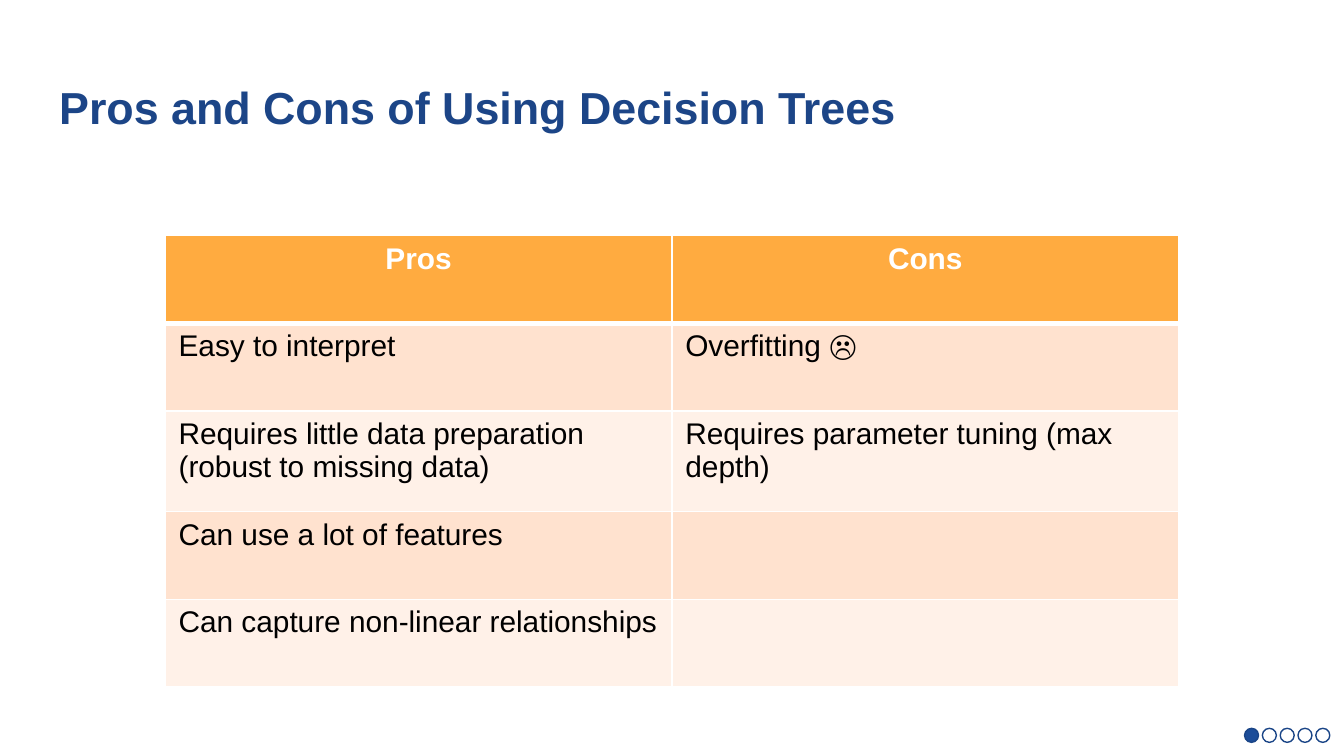
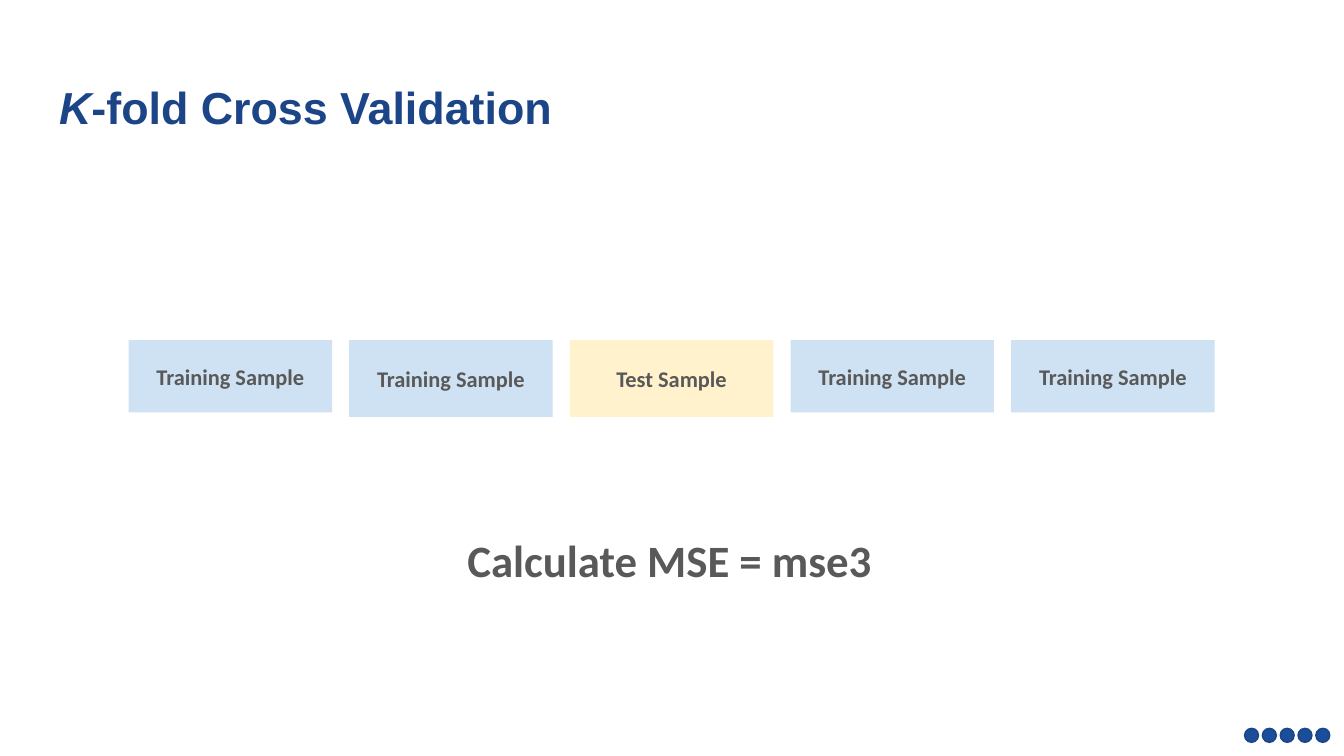
from lxml import etree
from pptx import Presentation
from pptx.dml.color import RGBColor
from pptx.enum import shapes, text
from pptx.oxml import ns
from pptx.util import Pt

NAVY, DOT_BLUE = "1C4587", "1C4D99"
DOT_LINE = "1A4587"
WHITE, BLACK, GREY = "FFFFFF", "000000", "595959"
ORANGE, PEACH, PALE_PEACH = "FFAB40", "FFE2CF", "FFF1E8"
TRAIN_BLUE, TEST_YELLOW = "CFE2F3", "FFF2CC"
TITLE_BOX = (24.5, 35.3, 671, 45.4)
DOTS_BOX = (666.7, 390.2, 45.7, 7.5)
DOT_COUNT = 5


def color(value):
    return RGBColor.from_string(value)


def pts(*values):
    return [Pt(v) for v in values]


def style(p, size, font, fill, bold=False, align=text.PP_ALIGN.LEFT):
    p.alignment = align
    for r in p.runs:
        r.font.size = Pt(size)
        r.font.name = font
        r.font.bold = bold
        r.font.color.rgb = color(fill)


def set_frame(tf, anchor):
    tf.word_wrap = True
    tf.auto_size = text.MSO_AUTO_SIZE.NONE
    tf.vertical_anchor = anchor
    tf.margin_left = tf.margin_right = tf.margin_top = tf.margin_bottom = Pt(7.2)


def add_block(s, kind, box, fill=None, line=None):
    sp = s.shapes.add_shape(kind, *pts(*box))
    sp.shadow.inherit = False
    if fill:
        sp.fill.solid()
        sp.fill.fore_color.rgb = color(fill)
    else:
        sp.fill.background()
    if line:
        sp.line.color.rgb = color(line)
        sp.line.width = Pt(0.75)
    else:
        sp.line.fill.background()
    return sp


def add_title(s, box, title, italic=""):
    sp = s.shapes.title
    sp.left, sp.top, sp.width, sp.height = pts(*box)
    set_frame(sp.text_frame, text.MSO_ANCHOR.TOP)
    p = sp.text_frame.paragraphs[0]
    if italic:
        r = p.add_run()
        r.text = italic
        r.font.italic = True
    p.add_run().text = title
    style(p, 24, "Arial", NAVY, bold=True)


def add_dots(s, box, filled):
    left, top, width, size = box
    pitch = (width - size) / (DOT_COUNT - 1)
    for i in range(DOT_COUNT):
        add_block(s, shapes.MSO_SHAPE.OVAL, (left + i * pitch, top, size, size),
                  DOT_BLUE if i < filled else None, DOT_LINE)


def set_borders(cell, bottom):
    tc_pr = cell._tc.get_or_add_tcPr()
    for i, (side, width) in enumerate((("L", 1), ("R", 1), ("T", 1), ("B", bottom))):
        ln = etree.Element(ns.qn(f"a:ln{side}"), w=str(Pt(width)))
        fill = etree.SubElement(ln, ns.qn("a:solidFill"))
        etree.SubElement(fill, ns.qn("a:srgbClr"), val=WHITE)
        tc_pr.insert(i, ln)


def add_pros_cons(s, box, rows, heights):
    table = s.shapes.add_table(len(rows), 2, *pts(*box)).table
    table.horz_banding = False
    for column in table.columns:
        column.width = Pt(box[2] / 2)
    for i, (row, height) in enumerate(zip(rows, heights)):
        table.rows[i].height = Pt(height)
        header = i == 0
        fill = ORANGE if header else PEACH if i % 2 else PALE_PEACH
        for j, words in enumerate(row):
            cell = table.cell(i, j)
            cell.fill.solid()
            cell.fill.fore_color.rgb = color(fill)
            set_borders(cell, 3 if header else 1)
            if words:
                cell.text_frame.text = words
                style(cell.text_frame.paragraphs[0], 16, "Arial",
                      WHITE if header else BLACK, header,
                      text.PP_ALIGN.CENTER if header else text.PP_ALIGN.LEFT)


def add_folds(s, box, heights, test_fold):
    left, top, width, gap = box
    for i, height in enumerate(heights):
        test = i == test_fold
        sp = add_block(s, shapes.MSO_SHAPE.RECTANGLE,
                       (left + i * (width + gap), top, width, height),
                       TEST_YELLOW if test else TRAIN_BLUE)
        set_frame(sp.text_frame, text.MSO_ANCHOR.MIDDLE)
        sp.text_frame.text = "Test Sample" if test else "Training Sample"
        style(sp.text_frame.paragraphs[0], 12, "Calibri", GREY, True, text.PP_ALIGN.CENTER)


def add_result(s, box, words):
    tf = s.shapes.add_textbox(*pts(*box)).text_frame
    set_frame(tf, text.MSO_ANCHOR.TOP)
    tf.text = words
    style(tf.paragraphs[0], 24, "Calibri", GREY, True, text.PP_ALIGN.CENTER)


def add_slide(prs, title, filled, italic=""):
    s = prs.slides.add_slide(prs.slide_layouts[5])
    add_title(s, TITLE_BOX, title, italic)
    add_dots(s, DOTS_BOX, filled)
    return s


def main():
    prs = Presentation()
    prs.slide_width, prs.slide_height = pts(720, 405)

    s = add_slide(prs, "Pros and Cons of Using Decision Trees", 1)
    add_pros_cons(s, (88.5, 126.1, 543, 242), [
        ("Pros", "Cons"),
        ("Easy to interpret", "Overfitting ☹"),
        ("Requires little data preparation (robust to missing data)",
         "Requires parameter tuning (max depth)"),
        ("Can use a lot of features", ""),
        ("Can capture non-linear relationships", ""),
    ], (47, 47, 54, 47, 47))

    s = add_slide(prs, "-fold Cross Validation", 5, italic="K")
    add_folds(s, (68.9, 182.2, 109, 9.2), (38.7, 41.2, 41.2, 38.7, 38.7), 2)
    add_result(s, (203.5, 277.9, 310.3, 56.2), "Calculate MSE = mse3")

    prs.save("out.pptx")


if __name__ == "__main__":
    main()
